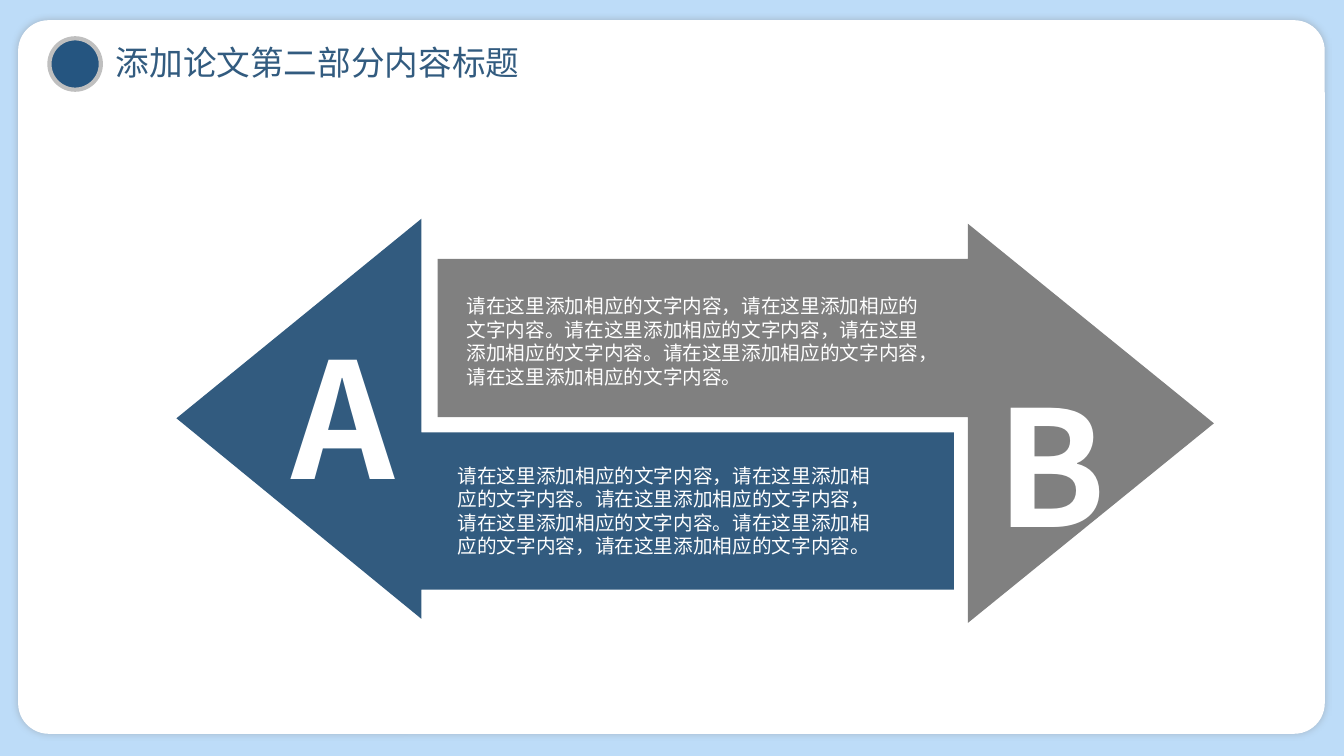
from pptx import Presentation, util as u
from pptx.dml.color import RGBColor
from pptx.enum import shapes, text
from pptx.oxml import parse_xml
from pptx.oxml.ns import nsdecls, qn

PX = 9144  # EMU per px, 100 px to the inch
FONT = "Noto Sans CJK SC"
COLORS = {"sky": "BDDCF8", "white": "FFFFFF", "dot": "255580", "ring": "BFBFBF",
          "navy": "325B7F", "gray": "808080"}
FORMATS = {
    "title": {"size": u.Pt(24), "bold": False},
    "letter": {"size": u.Pt(115), "bold": True},
    "body": {"size": u.Pt(14), "bold": False},
}
SENTENCE = "请在这里添加相应的文字内容，请在这里添加相应的文字内容。"


class SlideBuilder:
    def __init__(self, slide):
        self.slide = slide

    def paint(self, shape, fill, line=None, width=0):
        shape.shadow.inherit = False
        shape.fill.solid()
        shape.fill.fore_color.rgb = RGBColor.from_string(COLORS[fill])
        if line:
            shape.line.color.rgb = RGBColor.from_string(COLORS[line])
            shape.line.width = u.Pt(width)
        else:
            shape.line.fill.background()
        return shape

    def preset(self, kind, bounds, fill, line=None, width=0):
        shape = self.slide.shapes.add_shape(kind, *(v * PX for v in bounds))
        return self.paint(shape, fill, line, width)

    def glow(self, shape, color, opacity, blur):
        """Add a soft, centred shadow; opacity in percent, blur in points."""
        effects = shape._element.spPr.find(qn("a:effectLst"))
        effects.append(parse_xml(
            f'<a:outerShdw {nsdecls("a")} blurRad="{u.Pt(blur)}" dist="0" dir="0" '
            f'algn="ctr" rotWithShape="0"><a:srgbClr val="{COLORS[color]}">'
            f'<a:alpha val="{opacity * 1000}"/></a:srgbClr></a:outerShdw>'))

    def outline(self, points, fill):
        builder = self.slide.shapes.build_freeform(*points[0], scale=PX)
        builder.add_line_segments(points[1:], close=True)
        return self.paint(builder.convert_to_shape(), fill)

    def label(self, words, bounds, style, color="white", insets=(10, 5)):
        box = self.slide.shapes.add_textbox(*(v * PX for v in bounds))
        side, end = (v * PX for v in insets)
        frame = {"word_wrap": True, "auto_size": text.MSO_AUTO_SIZE.NONE,
                 "margin_left": side, "margin_right": side,
                 "margin_top": end, "margin_bottom": end}
        for name, value in frame.items():
            setattr(box.text_frame, name, value)
        para = box.text_frame.paragraphs[0]
        para.line_spacing = u.Pt(FORMATS[style]["size"].pt * 1.2)
        span = para.add_run()
        span.text = words
        for name, value in {"name": FONT, **FORMATS[style]}.items():
            setattr(span.font, name, value)
        span.font.color.rgb = RGBColor.from_string(COLORS[color])
        span._r.get_or_add_rPr().append(
            parse_xml(f'<a:ea {nsdecls("a")} typeface="{FONT}"/>'))


def main():
    deck = Presentation()
    deck.slide_width, deck.slide_height = 1333 * PX, 750 * PX
    page = SlideBuilder(deck.slides.add_slide(deck.slide_layouts[6]))
    kinds = shapes.MSO_SHAPE

    page.preset(kinds.RECTANGLE, (0, 0, 1333, 750), "sky")
    panel = page.preset(kinds.ROUNDED_RECTANGLE, (18, 20, 1296, 708), "white")
    panel.adjustments[0] = 0.043
    page.glow(panel, "gray", 40, 5)

    page.preset(kinds.OVAL, (49, 38, 51, 51), "dot", "ring", 3)
    page.label("添加论文第二部分内容标题", (102, 35, 445, 54), "title", "navy", (13, 7))

    page.outline([(418, 217), (418, 429), (946, 429), (946, 585),
                  (418, 585), (418, 614), (175, 415)], "navy")
    page.outline([(960, 222), (1204, 420), (960, 618), (960, 414),
                  (434, 414), (434, 257), (960, 257)], "gray")

    page.label("A", (289, 316, 141, 192), "letter", insets=(0, 0))
    page.label("B", (988, 364, 128, 192), "letter", insets=(0, 0))
    for bounds in ((444, 455, 446, 104), (453, 287, 471, 104)):
        page.label(SENTENCE * 3, bounds, "body")

    deck.save("out.pptx")


if __name__ == "__main__":
    main()
